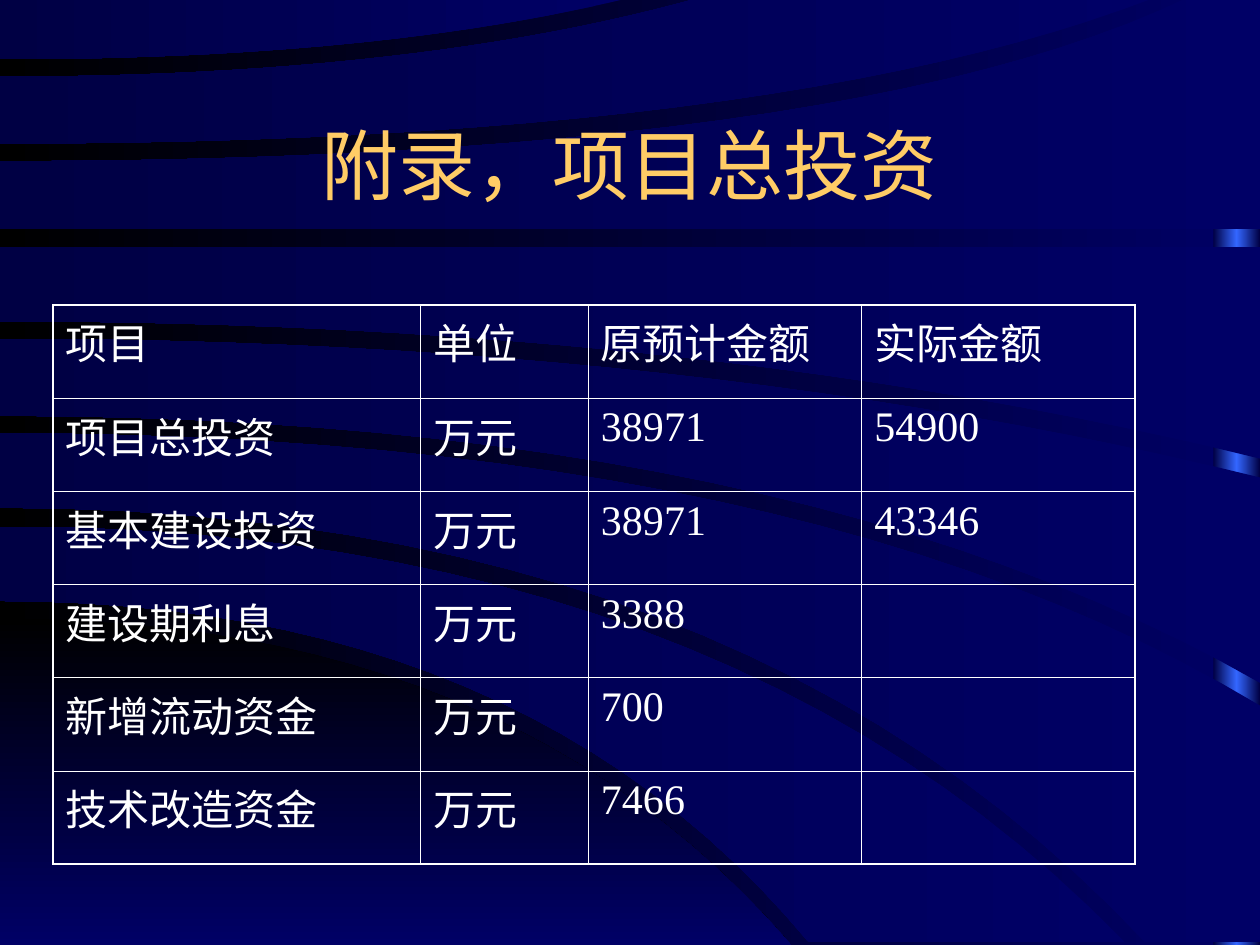
from copy import deepcopy

from lxml.etree import SubElement
from pptx import Presentation
from pptx.dml.color import RGBColor
from pptx.enum.shapes import MSO_SHAPE
from pptx.enum.text import MSO_ANCHOR, PP_ALIGN
from pptx.oxml.ns import qn
from pptx.util import Inches, Pt

COLORS = {
    "blue": "000066",
    "navy": "000044",
    "black": "000000",
    "bright": "3366FF",
    "gold": "FFCC66",
    "white": "FFFFFF",
}

CURVE_STEPS = 24
HILL = ((4.91, 4.05, 6.28, 7.5), (7.5, 3, 6.28, 7.5))
BANDS = [
    ((4.18, 5.73, 8.93, 7.48), (4.77, 4.17, 6.42, 7.48)),
    ((3.44, 6.4, 10, 5.6), (4.03, 5.87, 9.09, 7.48)),
    ((2.69, 5.54, 10, 3.79), (3.3, 6.3, 10, 5.42)),
    ((1.96, 5, 10, 1.96), (2.55, 5.6, 10, 3.64)),
    ((1.28, 6.73, 9.43, -0.02), (1.82, 5, 10, 1.82)),
    ((0.61, 3.32, 5.56, -0.02), (1.14, 6.16, 9.17, -0.02)),
    ((-0.02, 2.5, 5.01, -0.02), (0.47, 3, 5.01, -0.02)),
]

COLUMN_WIDTHS = [2.92, 1.33, 2.17, 2.17]
ROW_HEIGHT = 0.74
INVESTMENTS = [
    ("项目", "单位", "原预计金额", "实际金额"),
    ("项目总投资", "万元", "38971", "54900"),
    ("基本建设投资", "万元", "38971", "43346"),
    ("建设期利息", "万元", "3388", ""),
    ("新增流动资金", "万元", "700", ""),
    ("技术改造资金", "万元", "7466", ""),
]


def sample_curve(start_y, bend_x, end_x, end_y):
    points = []
    for step in range(CURVE_STEPS + 1):
        t = step / CURVE_STEPS
        x = 2 * t * (1 - t) * bend_x + t * t * end_x
        y = start_y + t * t * (end_y - start_y)
        points.append((x, y))
    return points


def band_outline(upper, lower):
    upper_points, lower_points = sample_curve(*upper), sample_curve(*lower)
    ends = upper_points[-1], lower_points[-1]
    corner = max(ends)[0], min(ends)[1]
    return upper_points + [corner] + lower_points[::-1]


def write_text(frame, text, *, font, size, color, align=PP_ALIGN.LEFT):
    paragraph = frame.paragraphs[0]
    paragraph.alignment = align
    run = paragraph.add_run()
    run.text = text
    run.font.name = font
    run.font.size = Pt(size)
    run.font.color.rgb = RGBColor.from_string(COLORS[color])


class SlideBuilder:
    font = "Times New Roman"
    outer_border = 1.08
    inner_border = 0.45

    def __init__(self, slide):
        self.slide = slide

    def gradient(self, fill, element, names, angle=180):
        fill.gradient()
        fill.gradient_angle = angle
        stop_list = element.xpath(".//a:gsLst")[0]
        while len(stop_list) < len(names):
            stop_list.append(deepcopy(stop_list[-1]))
        for index, (stop, name) in enumerate(zip(fill.gradient_stops, names)):
            stop.position = index / (len(names) - 1)
            stop.color.rgb = RGBColor.from_string(COLORS[name])

    def background(self, names):
        self.gradient(self.slide.background.fill, self.slide.element, names)

    def finish(self, shape, names, angle=180):
        self.gradient(shape.fill, shape.element, names, angle)
        shape.line.fill.background()
        shape.shadow.inherit = False

    def strip(self, left, top, width, height, names):
        box = [Inches(value) for value in (left, top, width, height)]
        self.finish(self.slide.shapes.add_shape(MSO_SHAPE.RECTANGLE, *box), names)

    def band(self, edges, names, angle=180):
        start, *rest = [(Inches(x), Inches(y)) for x, y in band_outline(*edges)]
        builder = self.slide.shapes.build_freeform(*start)
        builder.add_line_segments(rest, close=True)
        self.finish(builder.convert_to_shape(), names, angle)

    def title(self, text, left, top, width, height):
        box = [Inches(value) for value in (left, top, width, height)]
        frame = self.slide.shapes.add_textbox(*box).text_frame
        frame.word_wrap = True
        frame.vertical_anchor = MSO_ANCHOR.MIDDLE
        write_text(frame, text, font=self.font, size=44, color="gold", align=PP_ALIGN.CENTER)

    def border(self, cell, outer_sides):
        properties = cell._tc.get_or_add_tcPr()
        for side in "LRTB":
            width = self.outer_border if side in outer_sides else self.inner_border
            line = SubElement(properties, qn(f"a:ln{side}"), w=str(Pt(width)))
            solid = SubElement(line, qn("a:solidFill"))
            SubElement(solid, qn("a:srgbClr"), val=COLORS["white"])

    def table(self, rows, left, top, widths, height):
        last_row, last_column = len(rows) - 1, len(widths) - 1
        size = Inches(sum(widths)), Inches(height * len(rows))
        table = self.slide.shapes.add_table(
            len(rows), len(widths), Inches(left), Inches(top), *size
        ).table
        table.first_row = table.horz_banding = False
        for column, width in zip(table.columns, widths):
            column.width = Inches(width)
        for row_index, values in enumerate(rows):
            table.rows[row_index].height = Inches(height)
            for column_index, text in enumerate(values):
                cell = table.cell(row_index, column_index)
                edges = {"L": column_index == 0, "R": column_index == last_column,
                         "T": row_index == 0, "B": row_index == last_row}
                self.border(cell, [side for side, is_outer in edges.items() if is_outer])
                cell.fill.background()
                if text:
                    write_text(cell.text_frame, text, font=self.font, size=24, color="white")


def main():
    presentation = Presentation()
    presentation.slide_width, presentation.slide_height = Inches(10), Inches(7.5)
    builder = SlideBuilder(presentation.slides.add_slide(presentation.slide_layouts[6]))
    builder.background(["blue", "black"])
    builder.strip(9.63, 0, 0.37, 7.5, ["navy", "bright", "navy"])
    builder.band(HILL, ["black", "blue"], angle=270)
    for edges in BANDS:
        builder.band(edges, ["blue", "navy"])
    builder.title("附录，项目总投资", 0.75, 0.67, 8.5, 1.25)
    builder.table(INVESTMENTS, 0.42, 2.42, COLUMN_WIDTHS, ROW_HEIGHT)
    presentation.save("out.pptx")


if __name__ == "__main__":
    main()
